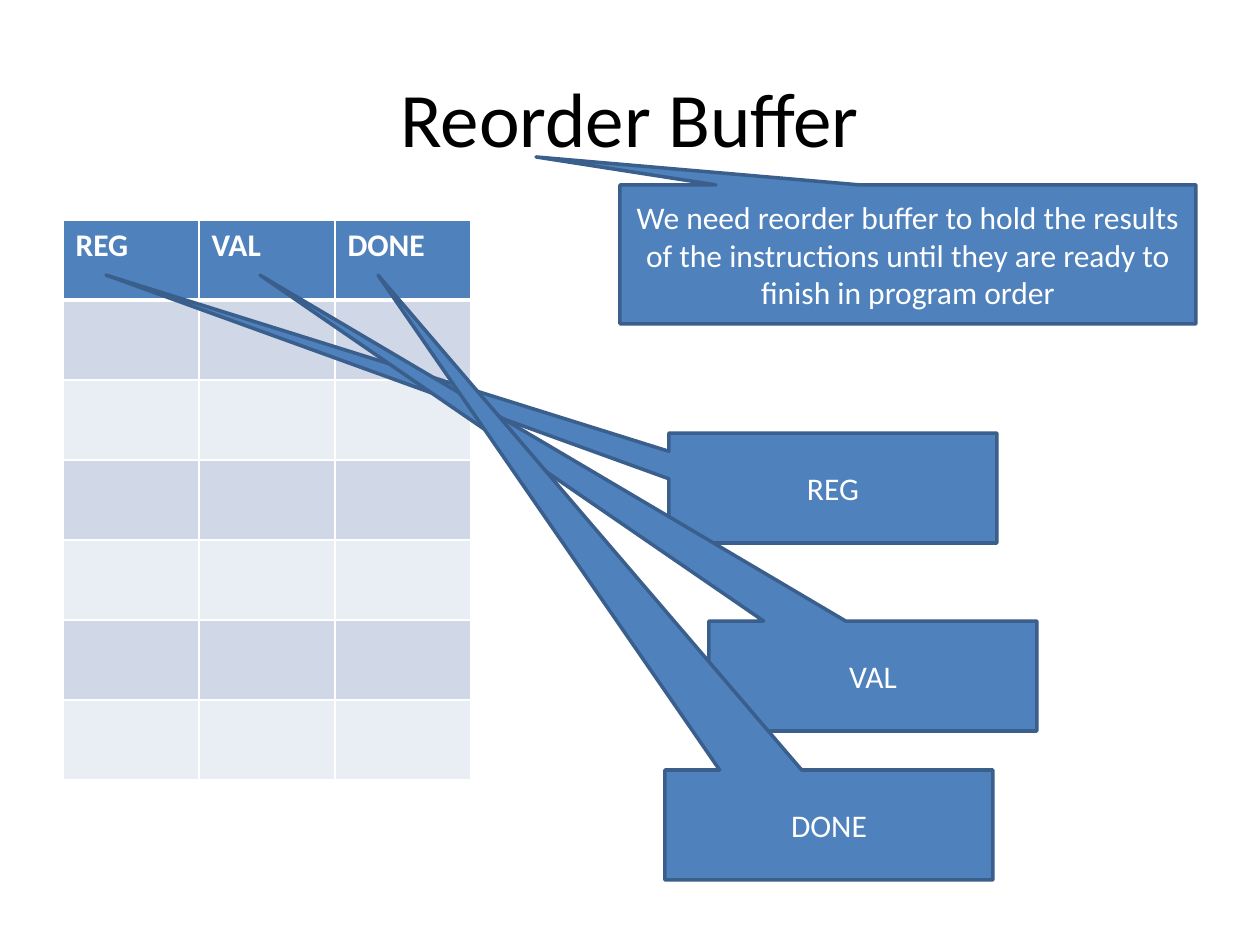
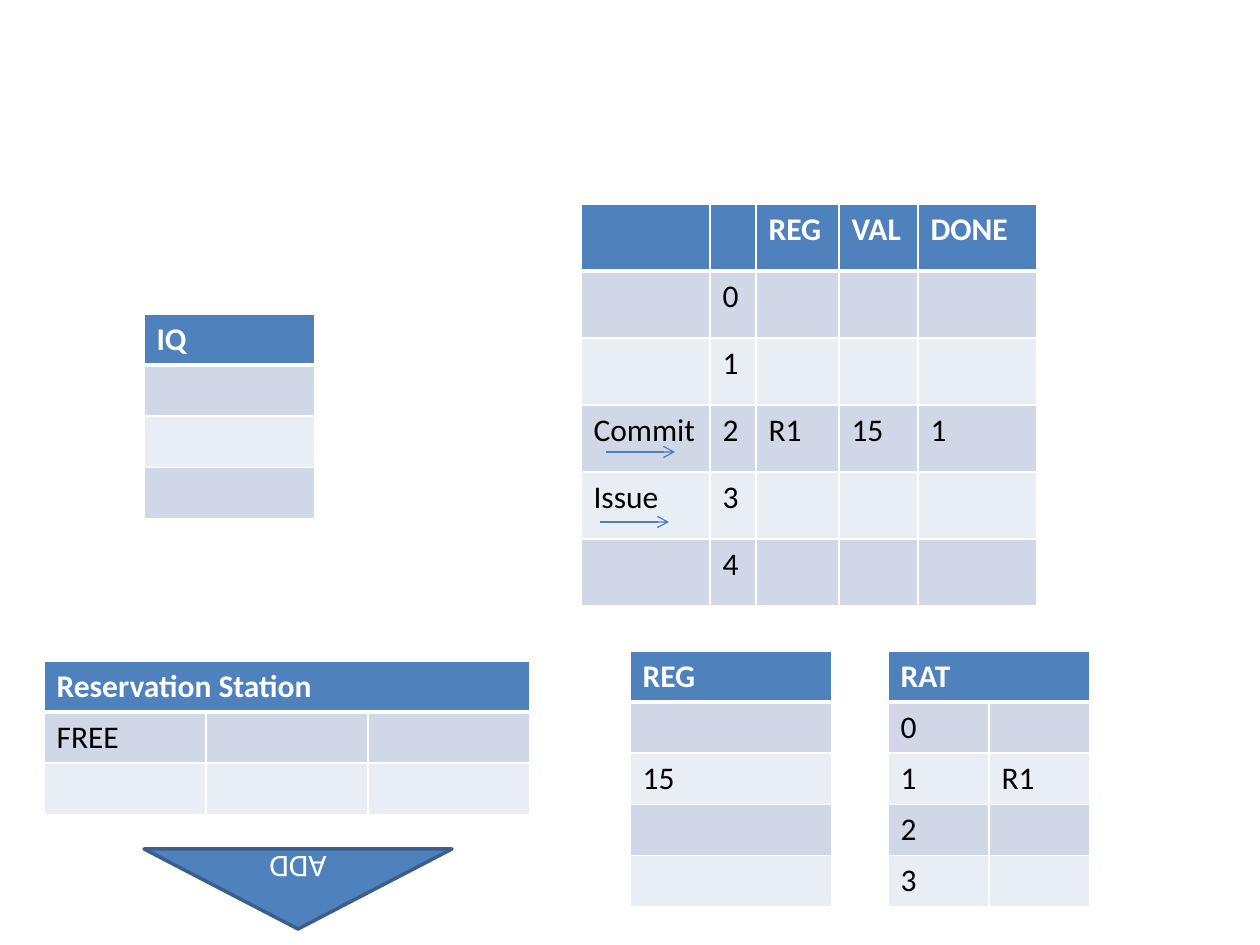
from lxml.etree import SubElement
from pptx import Presentation
from pptx.dml.color import RGBColor
from pptx.enum.shapes import MSO_CONNECTOR, MSO_SHAPE
from pptx.enum.text import MSO_ANCHOR, PP_ALIGN
from pptx.oxml.ns import qn
from pptx.util import Pt

SCALE = 914400 / 126
SLIDE_SIZE = (1260, 945)
FONT = "Calibri"
BLUE, OUTLINE, ARROW = "4F81BD", "3A5F8C", "4B7EBC"
WHITE, BLACK = "FFFFFF", "000000"
BANDS = ("D0D8E8", "E9EDF4")

TITLE = "Reorder Buffer"
TITLE_BOX = (63, 38, 1134, 158)

BUFFER_TABLE = dict(
    at=(63, 220), columns=[136] * 3, row_height=80,
    rows=[["REG", "VAL", "DONE"]] + [[""] * 3] * 6,
)

CALLOUTS = [
    ("We need reorder buffer to hold the results of the instructions "
     "until they are ready to finish in program order",
     (620, 185, 576, 139), (536, 157)),
    ("REG", (669, 433, 328, 110), (106, 275)),
    ("VAL", (709, 621, 328, 110), (260, 275)),
    ("DONE", (665, 770, 328, 110), (378, 275)),
]

MACHINE_TABLES = [
    dict(at=(581, 204), columns=[129, 46, 83, 79, 119], row_height=67,
         rows=[["", "", "REG", "VAL", "DONE"],
               ["", "0", "", "", ""],
               ["", "1", "", "", ""],
               ["Commit", "2", "R1", "15", "1"],
               ["Issue", "3", "", "", ""],
               ["", "4", "", "", ""]]),
    dict(at=(888, 651), columns=[101] * 2, row_height=51,
         rows=[["RAT", ""], ["0", ""], ["1", "R1"], ["2", ""], ["3", ""]],
         merge_header=True),
    dict(at=(630, 651), columns=[202], row_height=51,
         rows=[["REG"], [""], ["15"], [""], [""]]),
    dict(at=(44, 661), columns=[162] * 3, row_height=51,
         rows=[["Reservation Station", "", ""], ["FREE", "", ""], [""] * 3],
         merge_header=True),
    dict(at=(144, 314), columns=[171], row_height=51,
         rows=[["IQ"], [""], [""], [""]]),
]

ADDER = ("ADD", (144, 849, 308, 80))
POINTERS = [(600, 522), (606, 452)]
POINTER_LENGTH = 69


def px(value):
    return round(value * SCALE)


def color(value):
    return RGBColor.from_string(value)


def format_text(text_frame, size, text_color, bold=False, alignment=PP_ALIGN.LEFT):
    for paragraph in text_frame.paragraphs:
        paragraph.alignment = alignment
        for run in paragraph.runs:
            run.font.name = FONT
            run.font.size = Pt(size)
            run.font.bold = bold
            run.font.color.rgb = color(text_color)


def add_title(slide):
    title = slide.shapes.title
    title.left, title.top, title.width, title.height = map(px, TITLE_BOX)
    title.text_frame.text = TITLE
    title.text_frame.vertical_anchor = MSO_ANCHOR.MIDDLE
    format_text(title.text_frame, 44, BLACK, alignment=PP_ALIGN.CENTER)


def set_borders(cell, row_index):
    properties = cell._tc.get_or_add_tcPr()
    thick_side = {0: "lnB", 1: "lnT"}.get(row_index)
    for side in ("lnL", "lnR", "lnT", "lnB"):
        width = Pt(3 if side == thick_side else 1)
        border = SubElement(properties, qn("a:" + side), w=str(width))
        fill = SubElement(border, qn("a:solidFill"))
        SubElement(fill, qn("a:srgbClr"), val=WHITE)


def add_grid(slide, at, columns, row_height, rows, merge_header=False):
    size = (sum(columns), row_height * len(rows))
    table = slide.shapes.add_table(len(rows), len(columns), *map(px, at + size)).table
    for column, width in zip(table.columns, columns):
        column.width = px(width)
    for row_index, texts in enumerate(rows):
        table.rows[row_index].height = px(row_height)
        is_header = row_index == 0
        fill_color = BLUE if is_header else BANDS[(row_index - 1) % 2]
        for column_index, text in enumerate(texts):
            cell = table.cell(row_index, column_index)
            set_borders(cell, row_index)
            cell.fill.solid()
            cell.fill.fore_color.rgb = color(fill_color)
            cell.text_frame.text = text
            format_text(cell.text_frame, 18, WHITE if is_header else BLACK, is_header)
    if merge_header:
        table.cell(0, 0).merge(table.cell(0, len(columns) - 1))


def add_blue_shape(slide, kind, text, box):
    shape = slide.shapes.add_shape(kind, *map(px, box))
    shape.shadow.inherit = False
    shape.fill.solid()
    shape.fill.fore_color.rgb = color(BLUE)
    shape.line.color.rgb = color(OUTLINE)
    shape.line.width = Pt(2)
    shape.text_frame.text = text
    shape.text_frame.word_wrap = True
    shape.text_frame.vertical_anchor = MSO_ANCHOR.MIDDLE
    format_text(shape.text_frame, 18, WHITE, alignment=PP_ALIGN.CENTER)
    return shape


def add_callout(slide, text, box, tip):
    left, top, width, height = box
    tip_left, tip_top = tip
    callout = add_blue_shape(slide, MSO_SHAPE.RECTANGULAR_CALLOUT, text, box)
    callout.adjustments[0] = (tip_left - left) / width - 0.5
    callout.adjustments[1] = (tip_top - top) / height - 0.5


def add_pointer(slide, left, top):
    ends = (left, top, left + POINTER_LENGTH, top)
    connector = slide.shapes.add_connector(MSO_CONNECTOR.STRAIGHT, *map(px, ends))
    connector.line.color.rgb = color(ARROW)
    connector.line.width = Pt(0.75)
    SubElement(connector.line._get_or_add_ln(), qn("a:tailEnd"), type="arrow")
    SubElement(connector._element.spPr, qn("a:effectLst"))


def build_buffer_slide(presentation):
    slide = presentation.slides.add_slide(presentation.slide_layouts[5])
    add_title(slide)
    add_grid(slide, **BUFFER_TABLE)
    for text, box, tip in CALLOUTS:
        add_callout(slide, text, box, tip)


def build_machine_slide(presentation):
    slide = presentation.slides.add_slide(presentation.slide_layouts[6])
    for table in MACHINE_TABLES:
        add_grid(slide, **table)
    adder = add_blue_shape(slide, MSO_SHAPE.FLOWCHART_EXTRACT, *ADDER)
    adder.rotation = 180
    for left, top in POINTERS:
        add_pointer(slide, left, top)


def main():
    presentation = Presentation()
    presentation.slide_width, presentation.slide_height = map(px, SLIDE_SIZE)
    build_buffer_slide(presentation)
    build_machine_slide(presentation)
    presentation.save("out.pptx")


if __name__ == "__main__":
    main()
